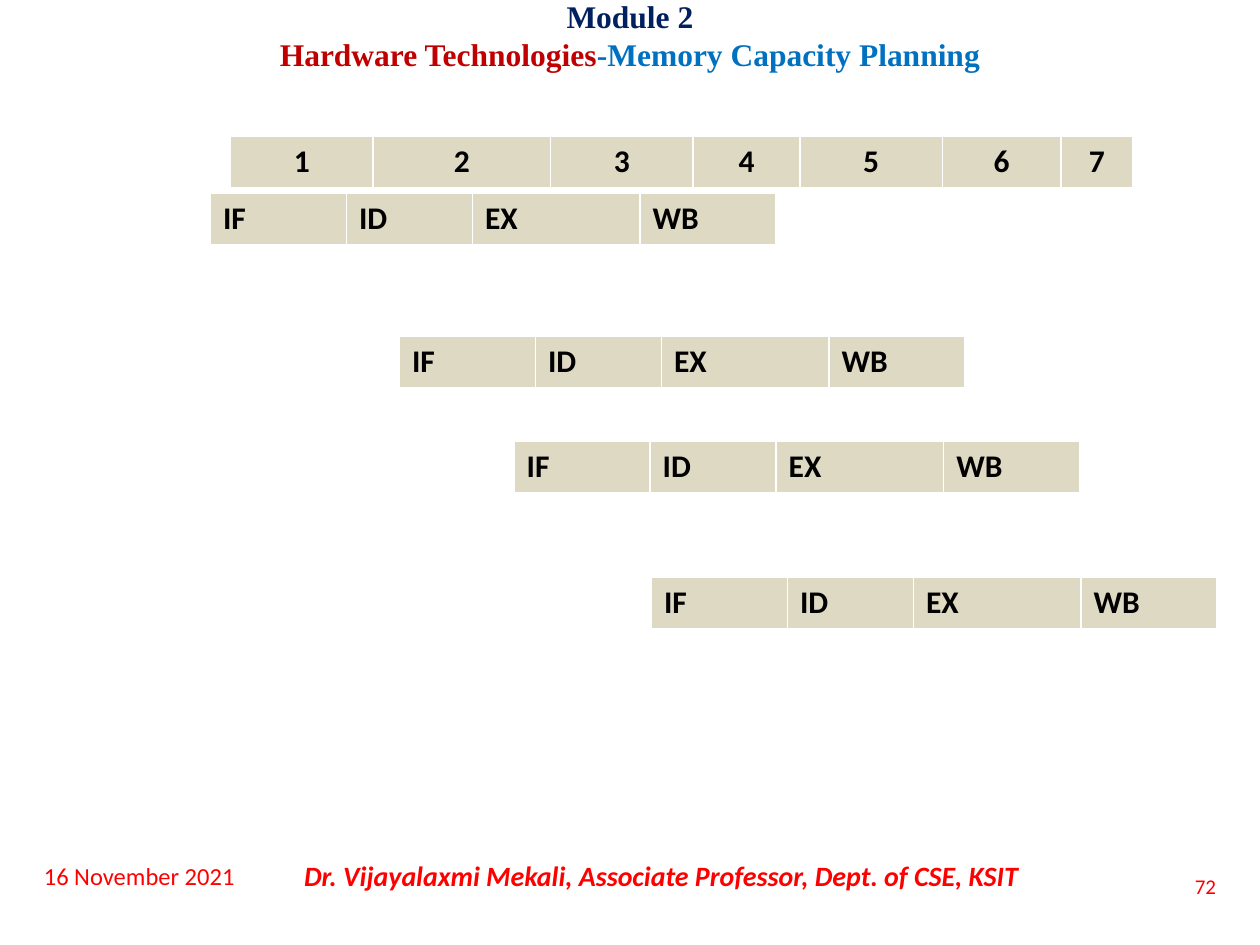
from pptx import Presentation
from pptx import util as u
from pptx.dml.color import RGBColor
from pptx.enum import text

LEFT, CENTER, RIGHT = text.PP_ALIGN.LEFT, text.PP_ALIGN.CENTER, text.PP_ALIGN.RIGHT
STAGES = ["IF", "ID", "EX", "WB"]
STAGE_WIDTHS = [1.08, 1, 1.33, 1.08]
STAGE_STARTS = [(1.67, 1.53), (3.17, 2.67), (4.08, 3.5), (5.17, 4.58)]
CYCLE_WIDTHS = [1.13, 1.41, 1.13, 0.85, 1.13, 0.94, 0.57]
ROW_HEIGHT = 0.41


def rgb(value):
    return RGBColor.from_string(value)


def add_text(p, content, size=18, color="000000", font="Calibri",
             bold=False, italic=False, align=LEFT):
    p.alignment = align
    r = p.add_run()
    r.text = content
    r.font.size = u.Pt(size)
    r.font.name = font
    r.font.bold = bold
    r.font.italic = italic
    r.font.color.rgb = rgb(color)


def add_box(s, x, y, w, h):
    sp = s.shapes.add_textbox(*(u.Inches(v) for v in (x, y, w, h)))
    tf = sp.text_frame
    tf.word_wrap = True
    tf.vertical_anchor = text.MSO_ANCHOR.MIDDLE
    return tf


def add_title(s, x, y, w, h):
    tf = add_box(s, x, y, w, h)
    tf.margin_top = tf.margin_bottom = 0
    style = dict(font="Times New Roman", bold=True, align=CENTER)
    add_text(tf.paragraphs[0], "Module 2", color="002060", **style)
    p = tf.add_paragraph()
    add_text(p, "Hardware Technologies", color="C00000", **style)
    add_text(p, "-Memory Capacity Planning", color="0070C0", **style)


def add_row(s, x, y, labels, widths, align=LEFT):
    frame = s.shapes.add_table(1, len(labels), u.Inches(x), u.Inches(y),
                               u.Inches(sum(widths)), u.Inches(ROW_HEIGHT))
    table = frame.table
    for column, width, cell, label in zip(table.columns, widths, table.iter_cells(), labels):
        column.width = u.Inches(width)
        cell.fill.solid()
        cell.fill.fore_color.rgb = rgb("DDD9C3")
        add_text(cell.text_frame.paragraphs[0], label, bold=True, align=align)


def add_footer(s, x, y, w, h):
    date = add_box(s, x, y, 2.33, h)
    add_text(date.paragraphs[0], "16 November 2021", size=14, color="FF0000")
    author = add_box(s, x + 1.67, y, 6.66, h)
    add_text(author.paragraphs[0],
             "Dr. Vijayalaxmi Mekali, Associate Professor, Dept. of CSE, KSIT",
             size=16, color="FF0000", bold=True, italic=True, align=CENTER)
    number = add_box(s, x + w - 2.33, y + 0.08, 2.33, h)
    add_text(number.paragraphs[0], "72", size=12, color="FF0000", align=RIGHT)


def main():
    prs = Presentation()
    prs.slide_width, prs.slide_height = u.Inches(10), u.Inches(7.5)
    s = prs.slides.add_slide(prs.slide_layouts[6])
    add_title(s, 0, 0, 10, 0.55)
    add_footer(s, 0.25, 6.75, 9.5, 0.4)
    for x, y in STAGE_STARTS:
        add_row(s, x, y, STAGES, STAGE_WIDTHS)
    add_row(s, 1.83, 1.08, [str(n) for n in range(1, 8)], CYCLE_WIDTHS, CENTER)
    prs.save("out.pptx")


if __name__ == "__main__":
    main()
